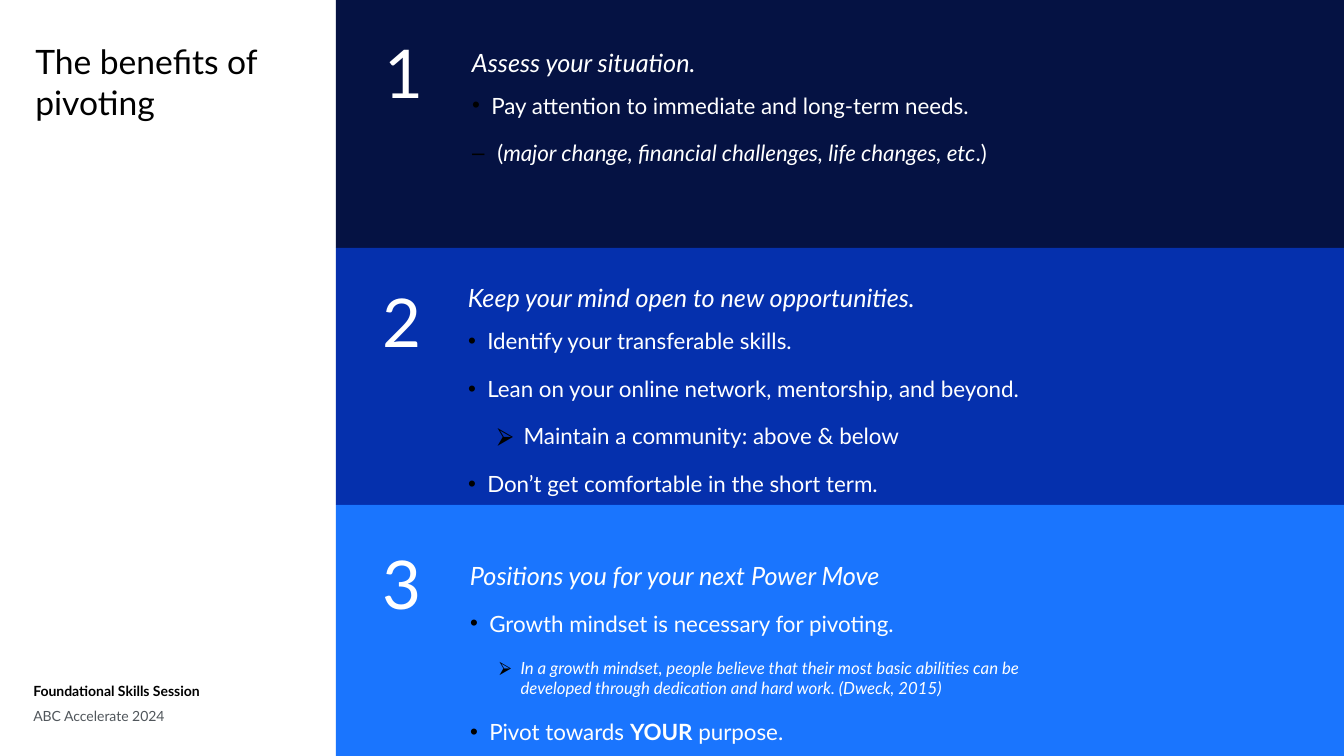
from dataclasses import dataclass

from lxml.etree import SubElement
from pptx import Presentation
from pptx.dml.color import RGBColor
from pptx.enum.shapes import MSO_SHAPE
from pptx.enum.text import MSO_ANCHOR, MSO_AUTO_SIZE, PP_ALIGN
from pptx.oxml.ns import qn
from pptx.util import Inches, Pt


@dataclass(frozen=True)
class Theme:
    font: str = "Lato"
    white: str = "FFFFFF"
    black: str = "000000"
    grey: str = "50565B"
    panel: str = "F2F4F8"
    title: int = 24
    number: int = 48
    heading: int = 18
    body: int = 16
    quote: int = 12
    footer: int = 10
    gap: float = 14.7


THEME = Theme()
W, H = 13.33, 7.5
SIDE = W / 4

# Bullet kind: character, left margin, hanging indent
BULLETS = {
    "dot": ("•", 0.19, 0.19),
    "dash": ("–", 0.25, 0.25),
    "arrow": ("⮚", 0.55, 0.26),
    "quote": ("⮚", 0.5, 0.21),
}

# Offsets are measured from the top left corner of each band.
BANDS = [
    dict(fill="051243", opacity=100, height=2.46, number=(0.38, 0.26),
         heading=(1.25, 0.42), items_at=(1.25, 0.86), items_width=7.83,
         title="Assess your situation.",
         items=[("dot", [("Pay attention to immediate and long-term needs.", "")]),
                ("dash", [("(", ""),
                          ("major change, financial challenges, life changes, etc", "i"),
                          (".)", "")])]),
    dict(fill="0530AD", opacity=100, height=2.55, number=(0.36, 0.27),
         heading=(1.21, 0.29), items_at=(1.21, 0.74), items_width=6.08,
         title="Keep your mind open to new opportunities.",
         items=[("dot", [("Identify your transferable skills.", "")]),
                ("dot", [("Lean on your online network, mentorship, and beyond.", "")]),
                ("arrow", [("Maintain a community: above & below", "")]),
                ("dot", [("Don’t get comfortable in the short term.", "")])]),
    dict(fill="0F6FFF", opacity=95, height=2.49, number=(0.36, 0.32),
         heading=(1.23, 0.5), items_at=(1.23, 0.99), items_width=6.08,
         title="Positions you for your next Power Move",
         items=[("dot", [("Growth mindset is necessary for pivoting.", "")]),
                ("quote", [("In a growth mindset, people believe that their most basic "
                            "abilities can be developed through dedication and hard work. "
                            "(Dweck, 2015)", "i")]),
                ("dot", [("Pivot towards ", ""), ("YOUR", "b"), (" purpose.", "")])]),
]


def add_run(p, text, size, color, style=""):
    r = p.add_run()
    r.text = text
    r.font.name = THEME.font
    r.font.size = Pt(size)
    r.font.bold = "b" in style
    r.font.italic = "i" in style
    r.font.color.rgb = RGBColor.from_string(color)


def add_bullet(p, kind):
    char, margin, hang = BULLETS[kind]
    pPr = p._p.get_or_add_pPr()
    pPr.set("marL", str(Inches(margin)))
    pPr.set("indent", str(-Inches(hang)))
    color = SubElement(pPr, qn("a:buClr"))
    SubElement(color, qn("a:srgbClr"), val=THEME.black)
    SubElement(pPr, qn("a:buFont"), typeface="Arial")
    SubElement(pPr, qn("a:buChar"), char=char)


def place(sp, left, top, width, height, anchor=MSO_ANCHOR.TOP):
    """Move a text shape and return its frame, set to wrap at a fixed size."""
    sp.left, sp.top = Inches(left), Inches(top)
    sp.width, sp.height = Inches(width), Inches(height)
    tf = sp.text_frame
    tf.word_wrap = True
    tf.auto_size = MSO_AUTO_SIZE.NONE
    tf.vertical_anchor = anchor
    return tf


def add_line(slide, text, box, size, style=""):
    tf = place(slide.shapes.add_textbox(0, 0, 0, 0), *box)
    add_run(tf.paragraphs[0], text, size, THEME.white, style)


def add_panel(slide, box, fill, opacity=100):
    """Add a plain rectangle behind all the text."""
    sp = slide.shapes.add_shape(MSO_SHAPE.RECTANGLE, *map(Inches, box))
    sp.shadow.inherit = False
    sp.fill.solid()
    sp.fill.fore_color.rgb = RGBColor.from_string(fill)
    sp.line.fill.background()
    if opacity < 100:
        color = sp.element.spPr.find(".//" + qn("a:srgbClr"))
        SubElement(color, qn("a:alpha"), val=str(opacity * 1000))
    slide.shapes.title.element.addprevious(sp.element)


def fill_list(tf, items):
    for i, (kind, runs) in enumerate(items):
        p = tf.add_paragraph() if i else tf.paragraphs[0]
        add_bullet(p, kind)
        p.space_before = Pt(THEME.gap if i else 0)
        size = THEME.quote if kind == "quote" else THEME.body
        for text, style in runs:
            add_run(p, text, size, THEME.white, style)


def add_band(slide, number, band, body, left, top):
    add_panel(slide, (left, top, W - left, band["height"]), band["fill"], band["opacity"])

    def at(key):
        dx, dy = band[key]
        return left + dx, top + dy

    add_line(slide, str(number), (*at("number"), 1.65, 0.91), THEME.number)
    add_line(slide, band["title"], (*at("heading"), 6.08, 0.46), THEME.heading, "i")
    fill_list(place(body, *at("items_at"), band["items_width"], 1.13), band["items"])


def add_sidebar(slide, footer, width):
    tf = place(slide.shapes.title, 0.25, 0.36, width - 0.65, 1.51)
    p = tf.paragraphs[0]
    p.alignment = PP_ALIGN.LEFT
    add_run(p, "The benefits of pivoting", THEME.title, THEME.black)

    tf = place(footer, 0.23, 6.64, width - 0.66, 0.6, MSO_ANCHOR.BOTTOM)
    lines = [("Foundational Skills Session", THEME.black, "b"),
             ("ABC Accelerate 2024", THEME.grey, "")]
    for i, (text, color, style) in enumerate(lines):
        p = tf.add_paragraph() if i else tf.paragraphs[0]
        p.line_spacing = 1.5
        p.space_before = Pt(0)
        add_run(p, text, THEME.footer, color, style)


def main():
    prs = Presentation()
    prs.slide_width, prs.slide_height = Inches(W), Inches(H)
    # The comparison layout has a title and four text placeholders.
    slide = prs.slides.add_slide(prs.slide_layouts[4])
    footer, *bodies = list(slide.placeholders)[1:]

    add_panel(slide, (SIDE, 0, W - SIDE, H), THEME.panel)
    add_sidebar(slide, footer, SIDE)
    top = 0
    for number, (band, body) in enumerate(zip(BANDS, bodies), 1):
        add_band(slide, number, band, body, SIDE, top)
        top += band["height"]
    prs.save("out.pptx")


if __name__ == "__main__":
    main()
